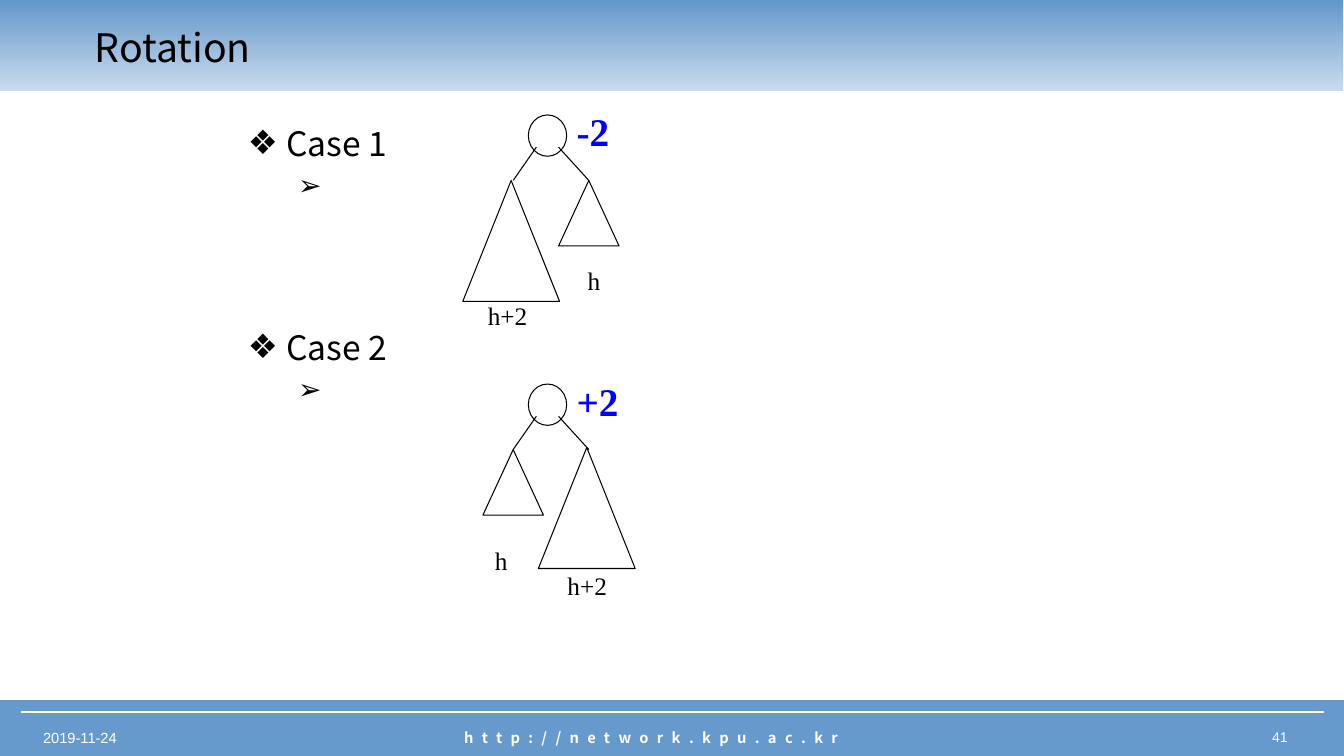
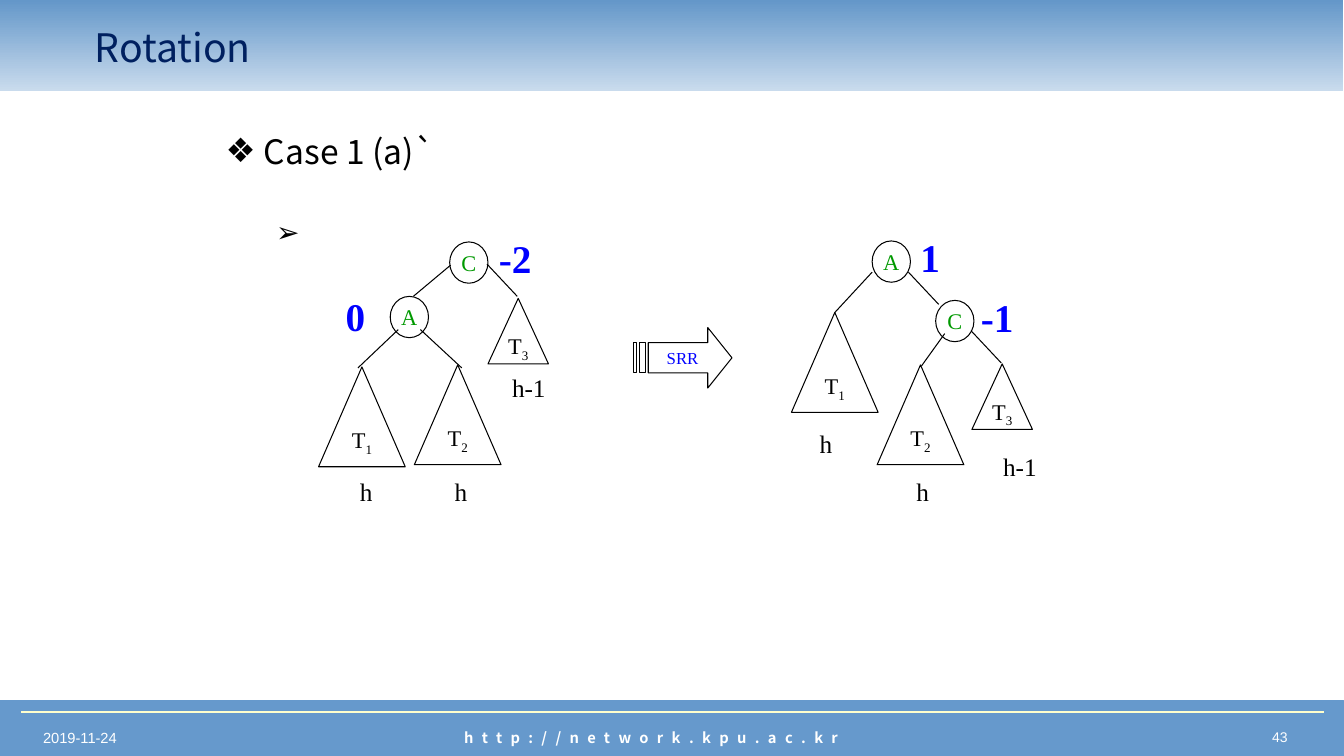
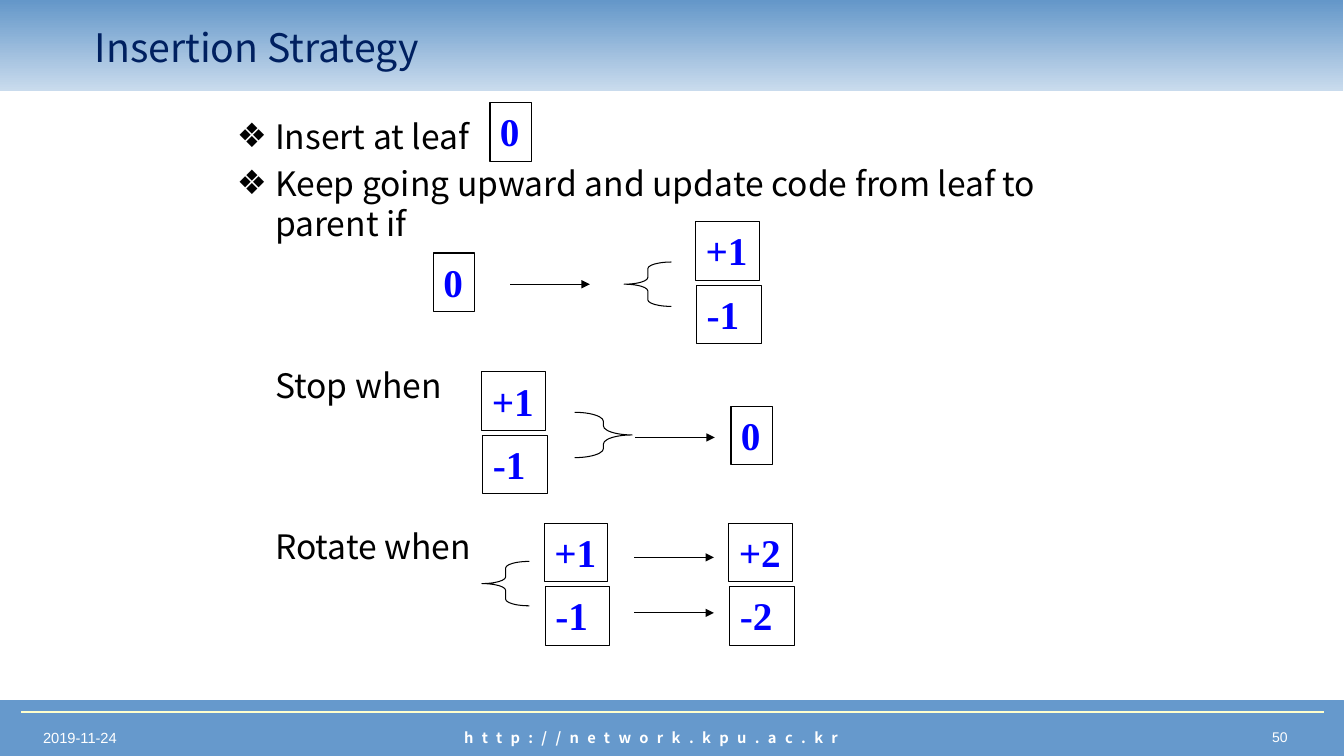
from lxml.etree import SubElement
from pptx import Presentation
from pptx.dml.color import RGBColor
from pptx.enum.shapes import MSO_CONNECTOR as Link, MSO_SHAPE as Kind
from pptx.enum.text import MSO_ANCHOR as Anchor, PP_ALIGN as Align
from pptx.oxml.ns import qn
from pptx.util import Inches, Pt

SANS, SERIF, ARIAL = "Noto Sans CJK KR", "Times New Roman", "Arial"
BLACK, WHITE, NAVY = "000000", "FFFFFF", "002060"
BAND, PALE, CREAM = "6699CC", "C9DBED", "FFFFCC"
BLUE, GREEN = "0000FF", "009900"

# Sizes of the subtrees: width, height
BIG, MID, SMALL = (0.96, 1.2), (0.86, 0.99), (0.6, 0.65)
# Bullet sign, size, left margin and hanging indent by level
LEVELS = {
    0: ("❖", 24, 0.38, -0.38),
    1: ("➢", 20, 0.81, -0.31),
    None: (None, 24, 0.38, 0),
}
LEAD = 1.2  # line pitch as a multiple of the text size


def color(text):
    return RGBColor.from_string(text)


def box(*sizes):
    return [Inches(size) for size in sizes]


# Text

def add_run(para, text, size, font, ink, bold=False, **attrs):
    run = para.add_run()
    run.text = text
    run.font.size, run.font.name, run.font.bold = Pt(size), font, bold
    run.font.color.rgb = color(ink)
    for name, value in attrs.items():
        run._r.get_or_add_rPr().set(name, str(value))


def label(slide, at, text, size=18, font=SERIF, ink=BLACK, bold=False,
          align=Align.LEFT, wrap=False, **attrs):
    frame = slide.shapes.add_textbox(*box(*at)).text_frame
    frame.word_wrap = wrap
    para = frame.paragraphs[0]
    para.alignment = align
    add_run(para, text, size, font, ink, bold, **attrs)


def height(slide, x, y, text):
    label(slide, (x, y, 0.2 + 0.14 * len(text), 0.4), text)


def factor(slide, x, y, text):
    label(slide, (x, y, 0.2 + 0.23 * len(text), 0.57), text, 28, ink=BLUE, bold=True)


def bullets(slide, at, items):
    """Each item is level, text and space before in points."""
    frame = slide.shapes.add_textbox(*box(*at)).text_frame
    frame.word_wrap = True
    for i, (level, text, gap) in enumerate(items):
        para = frame.add_paragraph() if i else frame.paragraphs[0]
        sign, size, left, hang = LEVELS[level]
        props = para._p.get_or_add_pPr()
        props.set("marL", str(Inches(left)))
        props.set("indent", str(Inches(hang)))
        if sign:
            SubElement(props, qn("a:buFont")).set("typeface", ARIAL)
            SubElement(props, qn("a:buChar")).set("char", sign)
        para.line_spacing, para.space_before = Pt(LEAD * size), Pt(gap)
        para.font.size = Pt(size)
        for j, line in enumerate(text.split("\n")):
            if j:
                para.add_line_break()
            add_run(para, line, size, SANS, BLACK)


# Shapes and lines

def style(item, fill=None, line=BLACK):
    item.shadow.inherit = False
    if fill:
        item.fill.solid()
        item.fill.fore_color.rgb = color(fill)
    else:
        item.fill.background()
    if line:
        item.line.color.rgb, item.line.width = color(line), Pt(0.75)
    else:
        item.line.fill.background()
    return item


def shape(slide, kind, at, fill=None, line=BLACK):
    return style(slide.shapes.add_shape(kind, *box(*at)), fill, line)


def link(slide, x1, y1, x2, y2, ink=BLACK, width=0.75, head=False):
    item = slide.shapes.add_connector(Link.STRAIGHT, *box(x1, y1, x2, y2))
    item.line.color.rgb, item.line.width = color(ink), Pt(width)
    if head:
        SubElement(item.line._get_or_add_ln(), qn("a:tailEnd")).set("type", "triangle")
    SubElement(item._element.spPr, qn("a:effectLst"))


def arrow(slide, x, y):
    link(slide, x, y, x + 0.79, y, head=True)


def middle(item, wrap=False):
    frame = item.text_frame
    frame.word_wrap, frame.vertical_anchor = wrap, Anchor.MIDDLE
    frame.paragraphs[0].alignment = Align.CENTER
    return frame.paragraphs[0]


def node(slide, x, y, name=None):
    item = shape(slide, Kind.OVAL, (x, y, 0.38, 0.41))
    if name:
        add_run(middle(item), name, 16, SERIF, GREEN)


def subtree(slide, x, y, size, index=None):
    item = shape(slide, Kind.ISOSCELES_TRIANGLE, (x, y, *size))
    if index:
        para = middle(item)
        add_run(para, "T", 16, SERIF, BLACK)
        add_run(para, index, 16, SERIF, BLACK, baseline=-25000)


def code(slide, x, y, text, width=0.63):
    frame = shape(slide, Kind.RECTANGLE, (x, y, width, 0.58)).text_frame
    frame.word_wrap, frame.vertical_anchor = True, Anchor.TOP
    frame.paragraphs[0].alignment = Align.LEFT
    add_run(frame.paragraphs[0], text, 28, SERIF, BLUE, True)


def leaf(slide, x, y):
    code(slide, x, y, "0", 0.41)


def pair(slide, x, y, digit):
    code(slide, x, y, "+" + digit)
    code(slide, x + 0.01, y + 0.63, "-" + digit, 0.64)


def brace(slide, kind, at, bend):
    shape(slide, kind, at).adjustments[0] = bend


def striped(slide, x, y, text):
    """Block arrow with two stripes behind it, in hundredths of an inch."""
    head = [(74, 0), (74, 15), (15, 15), (15, 45), (74, 45), (74, 60), (98, 30)]
    bars = [[(a, 15), (a, 45), (b, 45), (b, 15)] for a, b in ((6, 12), (0, 3))]
    pen = slide.shapes.build_freeform(*head[0], scale=Inches(0.01))
    pen.add_line_segments(head[1:], close=True)
    for bar in bars:
        pen.move_to(*bar[0])
        pen.add_line_segments(bar[1:], close=True)
    item = style(pen.convert_to_shape(*box(x, y)), WHITE)
    add_run(middle(item, True), text, 12, SERIF, BLUE)


# Shared frame: bands, footer and title

def page(deck, title, number, ink=NAVY):
    slide = deck.slides.add_slide(deck.slide_layouts[5])
    shape(slide, Kind.RECTANGLE, (0, 6.95, 13.33, 0.55), BAND, BAND)
    label(slide, (0.33, 7.18, 3.57, 0.28), "2019-11-24", 10.5, ARIAL, WHITE, wrap=True)
    label(slide, (9.9, 7.18, 2.97, 0.28), number, 10, ARIAL, WHITE,
          align=Align.RIGHT, wrap=True)
    label(slide, (3.02, 7.18, 6.88, 0.28), "http://network.kpu.ac.kr", 10.5, SANS,
          WHITE, True, Align.CENTER, True, spc=600)
    link(slide, 0.21, 7.06, 13.13, 7.06, CREAM, 1.5)

    band = shape(slide, Kind.RECTANGLE, (-0.01, 0, 13.33, 0.9), line=None)
    band.fill.gradient()
    band.fill.gradient_angle = 90
    for stop, tint in zip(band.fill.gradient_stops, (PALE, "6497C9")):
        stop.color.rgb = color(tint)

    head = slide.shapes.title
    head.left, head.top, head.width, head.height = box(0.84, 0.15, 11.25, 0.62)
    head.text_frame.vertical_anchor = Anchor.MIDDLE
    para = head.text_frame.paragraphs[0]
    para.alignment = Align.LEFT
    add_run(para, title, 28, SANS, ink)
    # Title goes above the band
    slide.shapes._spTree.append(head._element)
    return slide


# Slides

def cases(deck):
    slide = page(deck, "Rotation", "41", BLACK)
    bullets(slide, (2.36, 1.17, 2.2, 5), [
        (0, "Case 1", 0), (1, " ", 4), (0, "Case 2", 88.8), (1, " ", 4)])
    for top, sign in ((1.14, "-2"), (3.81, "+2")):
        node(slide, 5.24, top)
        link(slide, 5.09, top + 0.65, 5.32, top + 0.32)
        link(slide, 5.84, top + 0.65, 5.54, top + 0.32)
        factor(slide, 5.62, top - 0.12, sign)
    for x, y, size in ((4.59, 1.79, BIG), (5.54, 1.79, SMALL),
                       (4.79, 4.46, SMALL), (5.34, 4.44, BIG)):
        subtree(slide, x, y, size)
    for x, y, text in ((4.74, 2.93, "h+2"), (5.73, 2.58, "h"),
                       (4.81, 5.36, "h"), (5.53, 5.61, "h+2")):
        height(slide, x, y, text)


def single(deck):
    slide = page(deck, "Rotation", "43")
    bullets(slide, (2.14, 1.25, 6.3, 1.4), [(0, "Case 1 (a)`", 0), (1, " ", 32)])
    for ends in ((4.1, 2.94, 4.47, 2.63), (5.13, 2.94, 4.83, 2.62),
                 (3.55, 3.65, 3.95, 3.27), (4.58, 3.65, 4.17, 3.27),
                 (8.28, 3.1, 8.65, 2.7), (9.31, 3.02, 9.01, 2.7),
                 (9.14, 3.63, 9.37, 3.31), (9.93, 3.6, 9.63, 3.28)):
        link(slide, *ends)
    for x, y, name in ((4.46, 2.4, "C"), (3.87, 2.94, "A"),
                       (8.65, 2.39, "A"), (9.28, 2.98, "C")):
        node(slide, x, y, name)
    for x, y, size, index in (
            (3.16, 3.64, MID, "1"), (4.11, 3.62, MID, "2"), (4.84, 2.96, SMALL, "3"),
            (7.85, 3.1, MID, "1"), (8.7, 3.62, MID, "2"), (9.64, 3.61, SMALL, "3")):
        subtree(slide, x, y, size, index)
    for x, y, text in ((4.85, 2.28, "-2"), (3.33, 2.85, "0"),
                       (9.03, 2.27, "1"), (9.63, 2.86, "-1")):
        factor(slide, x, y, text)
    for x, y, text in ((3.47, 4.68, "h"), (4.41, 4.68, "h"), (4.98, 3.64, "h-1"),
                       (8.03, 4.2, "h"), (8.99, 4.68, "h"), (9.85, 4.43, "h-1")):
        height(slide, x, y, text)
    striped(slide, 6.28, 3.25, "SRR")


def insertion(deck):
    slide = page(deck, "Insertion Strategy", "50")
    bullets(slide, (2.25, 1.1, 9.21, 5), [
        (0, "Insert at leaf", 0),
        (0, "Keep going upward and update code from leaf to\nparent if", 4.8),
        (None, "Stop when", 86.4),
        (None, "Rotate when", 86.4)])
    for x, y in ((4.86, 1.02), (4.3, 2.51), (7.25, 4.03)):
        leaf(slide, x, y)
    for x, y, digit in ((6.9, 2.2, "1"), (4.78, 3.69, "1"),
                        (5.4, 5.19, "1"), (7.23, 5.19, "2")):
        pair(slide, x, y, digit)
    for x, y in ((5.06, 2.82), (6.3, 4.34), (6.29, 5.53), (6.29, 6.08)):
        arrow(slide, x, y)
    for x, y in ((6.19, 2.6), (4.78, 5.57)):
        brace(slide, Kind.LEFT_BRACE, (x, y, 0.47, 0.44), 0.15)
    brace(slide, Kind.RIGHT_BRACE, (5.7, 4.09, 0.57, 0.45), 0.2)


def main():
    deck = Presentation()
    deck.slide_width, deck.slide_height = box(13.33, 7.5)
    cases(deck)
    single(deck)
    insertion(deck)
    deck.save("out.pptx")


if __name__ == "__main__":
    main()
